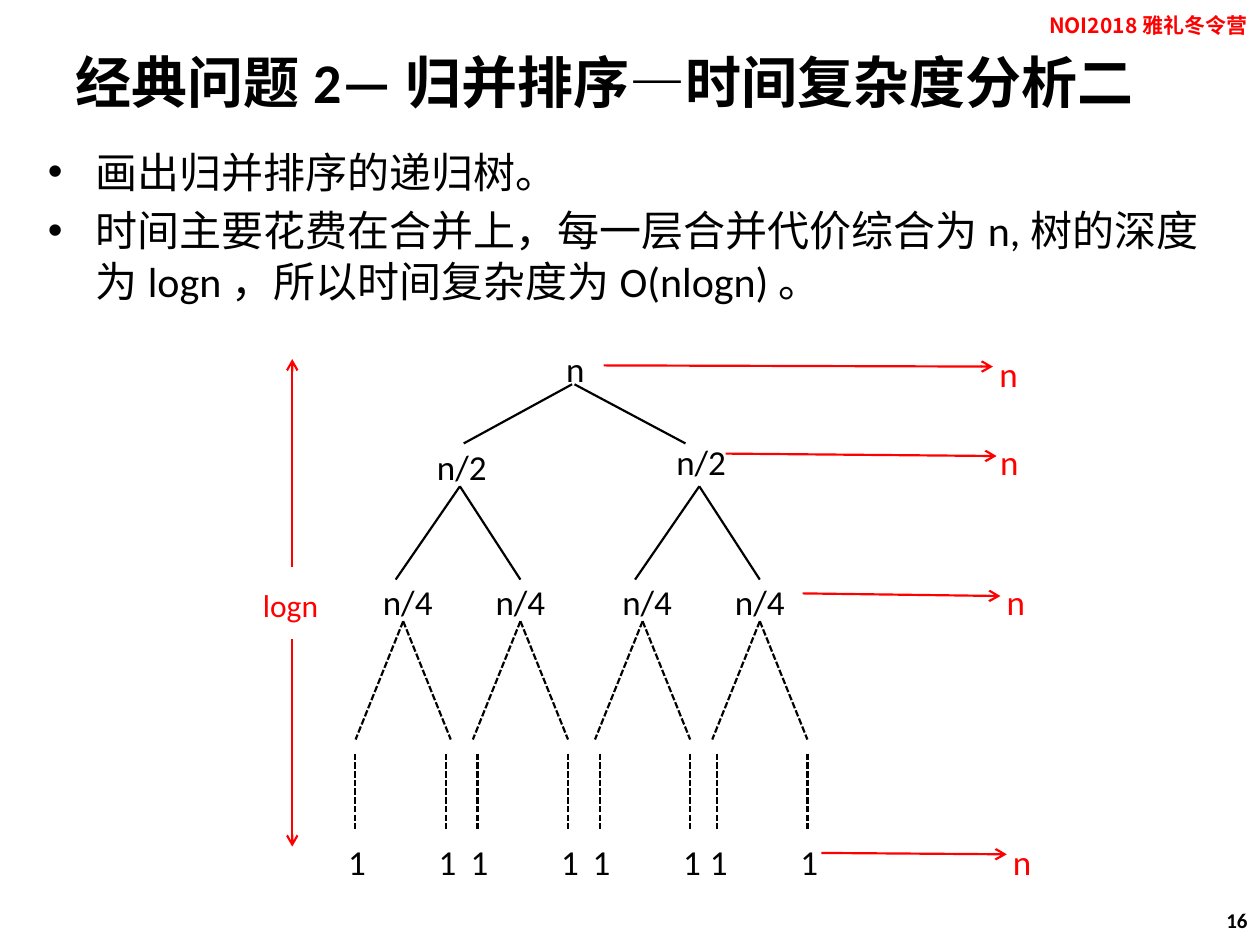
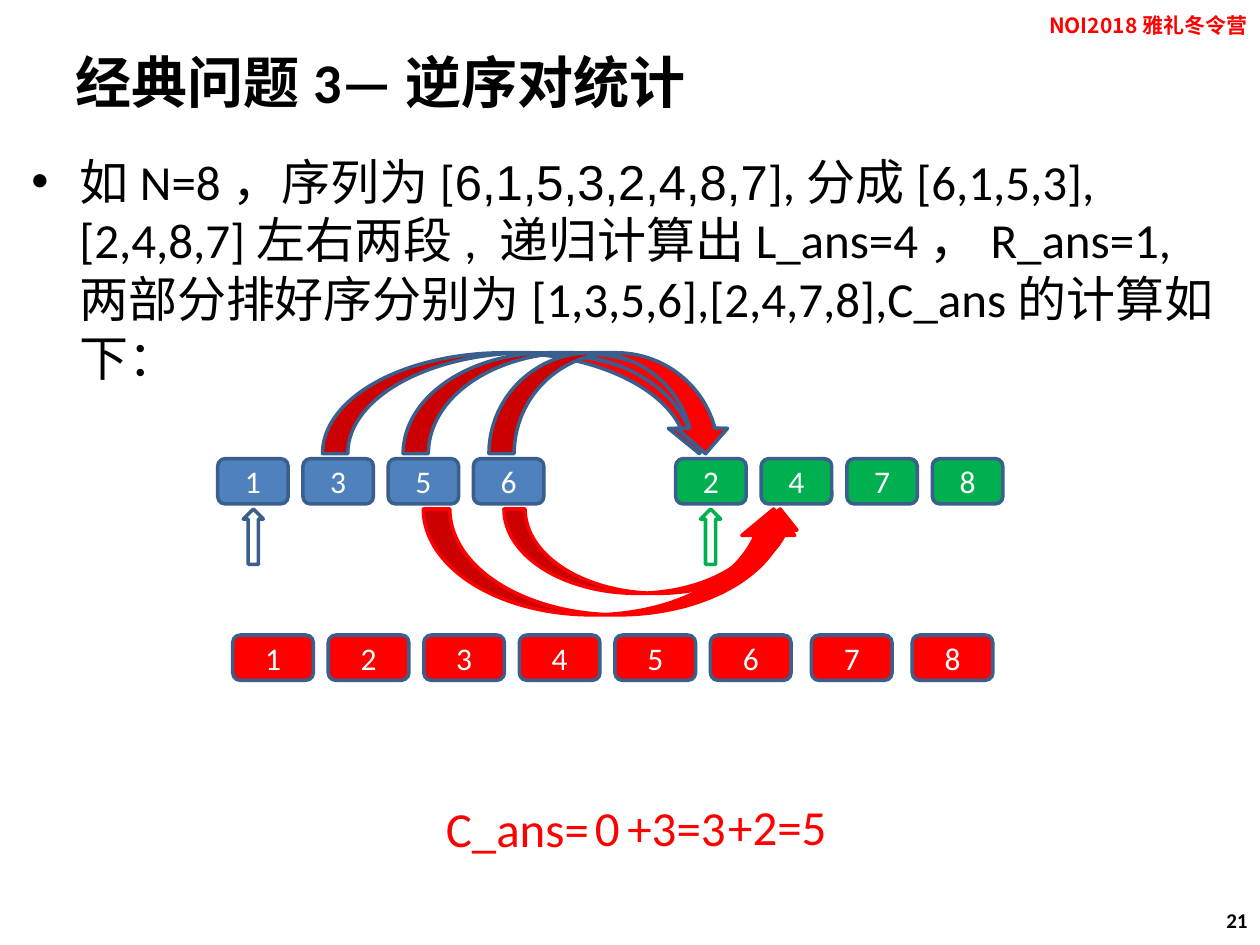
"""Build two lecture slides on merge sort and counting inversions."""
from dataclasses import dataclass
from pptx import Presentation
from pptx.dml.color import RGBColor
from pptx.enum.dml import MSO_LINE
from pptx.enum.shapes import MSO_CONNECTOR, MSO_SHAPE
from pptx.enum.text import MSO_ANCHOR, MSO_AUTO_SIZE, PP_ALIGN
from pptx.oxml.ns import qn
from pptx.util import Pt
from lxml.etree import SubElement


@dataclass(frozen=True)
class Theme:
    black: str = "000000"
    white: str = "FFFFFF"
    red: str = "FF0000"
    blue: str = "4F81BD"
    navy: str = "3A5F8C"
    green: str = "00B050"
    latin: str = "Calibri"
    alt: str = "Arial"
    asian: str = "Noto Sans CJK SC"
    title: int = 32
    large: int = 28
    body: int = 24
    node: int = 20
    label: int = 18
    small: int = 12
    thin: float = 1.25
    thick: float = 2


T = Theme()
BANNER = "NOI2018雅礼冬令营"
TREE = {
    "title": "经典问题2—归并排序—时间复杂度分析二",
    "page": "16",
    "box": (20.2, 79.9, 677.5, 439.2),
    "size": T.body,
    "body": [
        [("画出归并排序的递归树。", T.latin)],
        [("时间主要花费在合并上，每一层合并代价综合为n,树的深度为logn，"
          "所以时间复杂度为O(nlogn)。", T.latin)],
    ],
}
COUNT = {
    "title": "经典问题3—逆序对统计",
    "page": "21",
    "box": (10.8, 82.8, 699.8, 439.2),
    "size": T.large,
    "body": [[
        ("如N=8，序列为[", T.latin),
        ("6,1,5,3,2,4,8,7", T.alt),
        ("],分成[6,1,5,3],[2,4,8,7]左右两段, 递归计算出L_ans=4，R_ans=1,"
         "两部分排好序分别为[1,3,5,6],[2,4,7,8],C_ans的计算如下：", T.latin),
    ]],
}

NODES = [("n", 311.8, 195.1, 33.8), ("n/2", 241.9, 251.3, 43.9), ("n/2", 373.7, 248.4, 54)]
TWIN = 136.8
QUARTERS = [(211, 44), (272.9, 49)]
APEXES = [230.4, 297.4]
LEAVES = [203, 272.9, 342.7, 409.7]
LEAF_GAP = 51.7
COSTS = [
    ((344.9, 208.8, 567.4, 209.5), (559.4, 198, 33.8)),
    ((414.7, 259.2, 569.5, 260.6), (564.5, 248.4, 23.8)),
    ((458.6, 339.1, 571.7, 340.6), (568.1, 328.3, 17.3)),
    ((469.4, 487.4, 575.3, 488.2), (571.7, 476.6, 15.8)),
]
DEPTH = [(167, 324, 167, 205.2), (167, 365, 167, 483.8)]

ROWS = [
    ("1356", 124.4, 262.1, 40.3, 48.7, T.blue),
    ("2478", 386.1, 262.1, 40.3, 48.9, T.green),
    ("123456", 133, 362.9, 46.1, 54.6, T.red),
    ("78", 463.7, 362.9, 46.1, 57.6, T.red),
]
MARKS = [(139, T.navy), (400.3, T.green)]
DOWN = [(184.3, 229.7), (230.4, 187.2), (279.4, 138.2)]
UP = [(241.9, 215.3, 60.5), (288, 169.9, 48.2)]
SUMS = [
    ("C_ans=", (247.7, 452.9, 121), PP_ALIGN.LEFT, True),
    ("0", (331.2, 452.2, 31.7), PP_ALIGN.CENTER, True),
    ("+3=3", (351.4, 452.2, 71.3), PP_ALIGN.LEFT, False),
    ("+2=5", (409, 451.4, 77.8), PP_ALIGN.LEFT, True),
]


def tint(code):
    return RGBColor.from_string(code)


def write(para, words, size, color, font=T.latin, bold=False):
    run = para.add_run()
    run.text = words
    run.font.size = Pt(size)
    run.font.bold = bold
    run.font.name = font
    run.font.color.rgb = tint(color)
    SubElement(run.font._element, qn("a:ea")).set("typeface", T.asian)


def frame(slide, box, wrap=True, grow=False, middle=False):
    area = slide.shapes.add_textbox(*map(Pt, box)).text_frame
    area.word_wrap = wrap
    area.auto_size = MSO_AUTO_SIZE.SHAPE_TO_FIT_TEXT if grow else MSO_AUTO_SIZE.NONE
    area.vertical_anchor = MSO_ANCHOR.MIDDLE if middle else MSO_ANCHOR.TOP
    return area


def line(slide, ends, color=T.black, dash=False, arrow=False):
    link = slide.shapes.add_connector(MSO_CONNECTOR.STRAIGHT, *map(Pt, ends))
    link.line.color.rgb = tint(color)
    link.line.width = Pt(T.thin)
    if dash:
        link.line.dash_style = MSO_LINE.SQUARE_DOT
    if arrow:
        SubElement(link.line._get_or_add_ln(), qn("a:tailEnd")).set("type", "arrow")
    SubElement(link._element.spPr, qn("a:effectLst"))


def shape(slide, kind, box, fill, edge):
    item = slide.shapes.add_shape(kind, *map(Pt, box))
    item.shadow.inherit = False
    item.fill.solid()
    item.fill.fore_color.rgb = tint(fill)
    item.line.color.rgb = tint(edge)
    item.line.width = Pt(T.thick)
    return item


def label(slide, words, box, size=T.node, color=T.black, align=PP_ALIGN.CENTER, wrap=True):
    para = frame(slide, box, wrap=wrap, grow=True).paragraphs[0]
    para.alignment = align
    write(para, words, size, color)


def node(slide, words, left, top, width, color=T.black):
    label(slide, words, (left, top, width, 26.6), color=color)


def fan(slide, apex, top, left, right, base, dash=False):
    for end in (left, right):
        line(slide, (apex, top, end, base), dash=dash)


def bullets(slide, data):
    area = frame(slide, data["box"])
    for index, runs in enumerate(data["body"]):
        para = area.add_paragraph() if index else area.paragraphs[0]
        para.space_before = Pt(data["size"] * 0.2)
        props = para._p.get_or_add_pPr()
        props.set("marL", str(Pt(27.4)))
        props.set("indent", str(Pt(-27.4)))
        SubElement(props, qn("a:buFont")).set("typeface", T.alt)
        SubElement(props, qn("a:buChar")).set("char", "•")
        for words, font in runs:
            write(para, words, data["size"], T.black, font)


def start(deck, data):
    slide = deck.slides.add_slide(deck.slide_layouts[6])
    head = frame(slide, (36, 21.6, 648, 49.7), middle=True)
    write(head.paragraphs[0], data["title"], T.title, T.black, bold=True)
    bullets(slide, data)
    corners = [
        (data["page"], (552.2, 511.2, 167.8, 28.8), T.black, T.latin),
        (BANNER, (491.8, 0, 228.2, 28.8), T.red, T.asian),
    ]
    for words, box, color, font in corners:
        para = frame(slide, box, middle=True).paragraphs[0]
        para.alignment = PP_ALIGN.RIGHT
        write(para, words, T.small, color, font, True)
    return slide


def tree(slide):
    for item in NODES:
        node(slide, *item)
    line(slide, (326.9, 219.6, 265, 253.4))
    line(slide, (328.3, 219.6, 391.7, 253.4))
    for shift in (0, TWIN):
        fan(slide, 262.8 + shift, 277.9, 226.1 + shift, 297.4 + shift, 331.2)
        for left, width in QUARTERS:
            node(slide, "n/4", left + shift, 328.3, width)
        for apex in APEXES:
            mid = apex + shift
            fan(slide, mid, 355, mid - 27.2, mid + 27.2, 422.6, True)
    for left in LEAVES:
        for mid in (left, left + LEAF_GAP):
            line(slide, (mid, 430.6, mid, 473.8), dash=True)
            node(slide, "1", mid - 20.9, 476.6, 43.9)
    for ends, spot in COSTS:
        line(slide, ends, T.red, arrow=True)
        node(slide, "n", *spot, color=T.red)
    for ends in DEPTH:
        line(slide, ends, T.red, arrow=True)
    label(slide, "logn", (139, 331.2, 54, 28.8), T.label, T.red)


def count(slide):
    for digits, left, top, width, pitch, fill in ROWS:
        for index, digit in enumerate(digits):
            box = (left + index * pitch, top, width, 25.9)
            cell = shape(slide, MSO_SHAPE.ROUNDED_RECTANGLE, box, fill, T.navy)
            cell.text_frame.vertical_anchor = MSO_ANCHOR.MIDDLE
            para = cell.text_frame.paragraphs[0]
            para.alignment = PP_ALIGN.CENTER
            write(para, digit, T.label, T.white)
    for left, edge in MARKS:
        shape(slide, MSO_SHAPE.UP_ARROW, (left, 290.9, 11.5, 31.7), T.white, edge)
    for left, width in DOWN:
        shape(slide, MSO_SHAPE.CURVED_DOWN_ARROW, (left, 201.6, width, 57.6), T.red, T.navy)
    for left, width, height in UP:
        shape(slide, MSO_SHAPE.CURVED_UP_ARROW, (left, 290.9, width, height), T.red, T.red)
    for words, spot, align, wrap in SUMS:
        label(slide, words, (*spot, 41), T.large, T.red, align, wrap)


deck = Presentation()
deck.slide_width, deck.slide_height = Pt(720), Pt(540)
tree(start(deck, TREE))
count(start(deck, COUNT))
deck.save("out.pptx")
